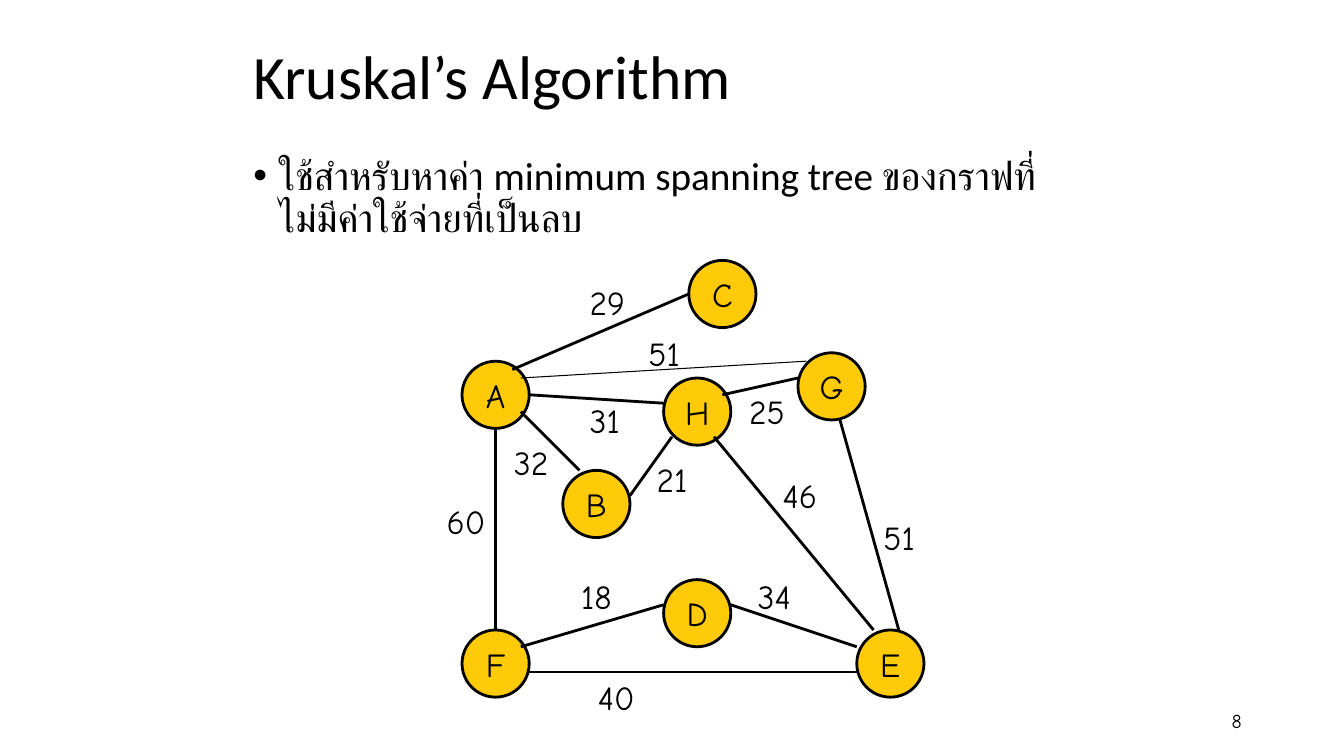
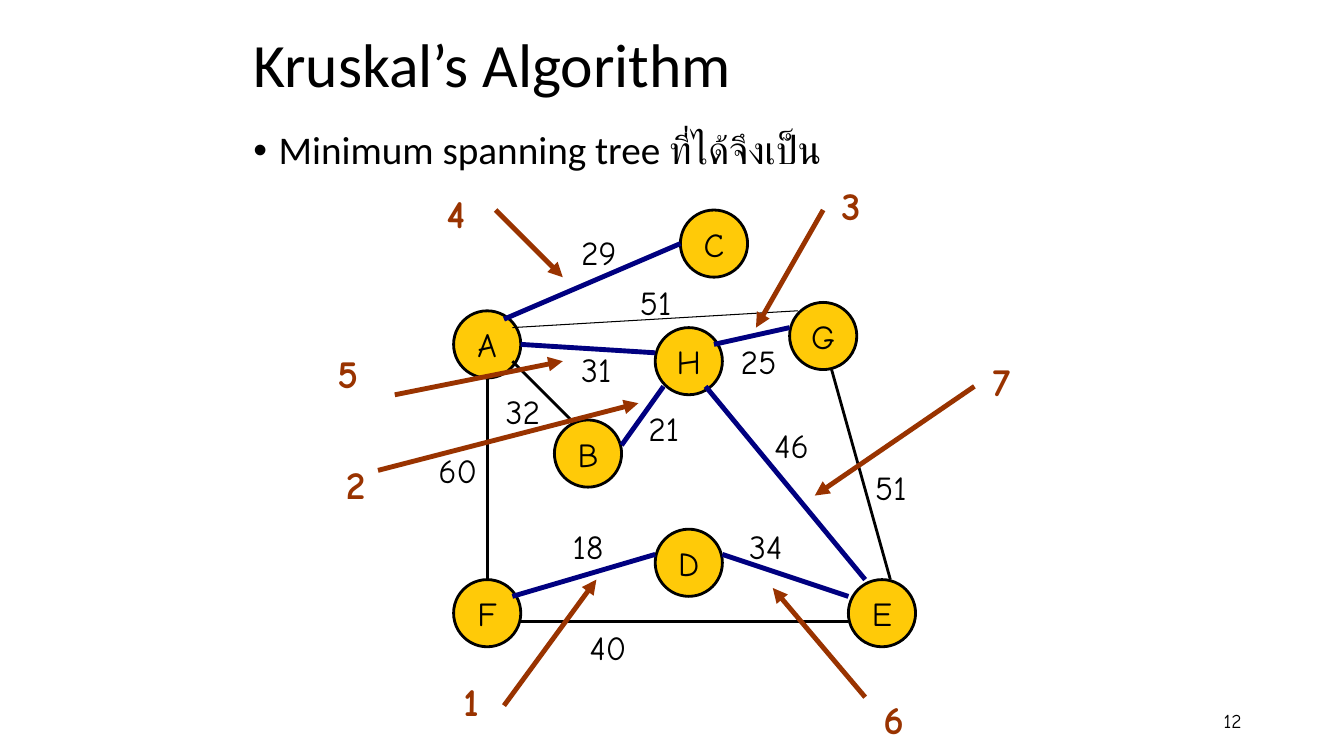
"""Builds two slides on Kruskal's algorithm from one shared weighted graph."""
from lxml import etree
from pptx import Presentation
from pptx.dml.color import RGBColor
from pptx.enum import shapes, text
from pptx.oxml.ns import qn
from pptx.util import Pt

BLACK, GOLD, NAVY, RUST = "000000", "FFCA08", "000080", "993300"
SANS, COMIC = "Calibri", "Comic Neue"
TITLE = "Kruskal’s Algorithm"
LEFT, TOP = 174, 12
NODE = 48
LABEL = (48, 36)
STEP = (30, 41)

NODES = {
    "A": (18, 72), "B": (90, 150), "H": (162, 84), "D": (162, 228),
    "C": (180, 0), "G": (258, 66), "F": (18, 264), "E": (300, 264),
}
EDGES = [
    ("AF", "60", (42, 120), (42, 264), (0, 168)),
    ("AB", "32", (60, 108), (102, 150), (48, 126)),
    ("FE", "40", (66, 294), (300, 294), (108, 294)),
    ("FD", "18", (60, 276), (162, 246), (96, 222)),
    ("DE", "34", (210, 246), (300, 276), (222, 222)),
    ("HE", "46", (198, 126), (312, 264), (240, 150)),
    ("HB", "21", (168, 126), (138, 168), (150, 138)),
    ("GE", "51", (288, 114), (330, 264), (312, 180)),
    ("AH", "31", (66, 96), (162, 102), (102, 96)),
    ("AC", "29", (54, 78), (180, 24), (102, 12)),
    ("HG", "25", (204, 96), (258, 84), (216, 90)),
    ("AG", "51", (60, 84), (264, 72), (144, 48)),
]
THIN_EDGES = {"AG"}
STEPS = [
    ("1", (360, 504), (426, 414), (324, 480)),
    ("2", (270, 336), (456, 288), (240, 325)),
    ("3", (588, 150), (540, 234), (594, 126)),
    ("4", (354, 150), (402, 198), (312, 132)),
    ("5", (282, 282), (402, 258), (234, 246)),
    ("6", (618, 498), (552, 420), (624, 493)),
    ("7", (696, 276), (582, 354), (702, 252)),
]
SLIDES = [
    {"bullet": "ใช้สำหรับหาค่า minimum spanning tree ของกราฟที่ไม่มีค่าใช้จ่ายที่เป็นลบ",
     "number": "8", "title_height": 90, "body": (108, 324),
     "origin": (312, 186), "tree": set(), "steps": []},
    {"bullet": "Minimum spanning tree ที่ได้จึงเป็น",
     "number": "12", "title_height": 72, "body": (90, 288),
     "origin": (306, 150), "tree": {"FD", "DE", "HE", "HB", "AH", "AC", "HG"},
     "steps": STEPS},
]


def color(value):
    return RGBColor.from_string(value)


def write(box, words, size, font=COMIC, ink=BLACK, bold=False, align=None, middle=False):
    frame = box.text_frame
    if middle:
        frame.vertical_anchor = text.MSO_ANCHOR.MIDDLE
    para = frame.paragraphs[0]
    para.alignment = align
    span = para.add_run()
    span.text = words
    span.font.size = Pt(size)
    span.font.name = font
    span.font.bold = bold
    span.font.color.rgb = color(ink)
    return para


def add_text(page, place, words, size, **style):
    box = page.shapes.add_textbox(*map(Pt, place))
    box.text_frame.word_wrap = True
    return write(box, words, size, **style)


def add_line(page, start, end, ink, width, arrow=False):
    line = page.shapes.add_connector(shapes.MSO_CONNECTOR.STRAIGHT, *map(Pt, start + end))
    line.line.color.rgb = color(ink)
    line.line.width = Pt(width)
    if arrow:
        etree.SubElement(line.line._get_or_add_ln(), qn("a:tailEnd"), type="triangle")
    etree.SubElement(line._element.spPr, qn("a:effectLst"))


def add_node(page, name, place):
    node = page.shapes.add_shape(shapes.MSO_SHAPE.OVAL, *map(Pt, place + (NODE, NODE)))
    node.shadow.inherit = False
    node.fill.solid()
    node.fill.fore_color.rgb = color(GOLD)
    node.line.color.rgb = color(BLACK)
    node.line.width = Pt(2)
    node.text_frame.word_wrap = False
    write(node, name, 24, align=text.PP_ALIGN.CENTER, middle=True)


def add_frame(page, content):
    para = add_text(page, (LEFT, TOP, 541, content["title_height"]), TITLE, 44,
                    font=SANS, middle=True)
    para.line_spacing = 0.9
    top, height = content["body"]
    para = add_text(page, (LEFT, top, 606, height), content["bullet"], 28, font=SANS)
    para.line_spacing = 0.9
    para.space_before = Pt(10)
    props = para._p.get_or_add_pPr()
    props.set("marL", str(Pt(18)))
    props.set("indent", str(-Pt(18)))
    etree.SubElement(props, qn("a:buFont"), typeface="Arial")
    etree.SubElement(props, qn("a:buChar"), char="•")
    add_text(page, (678, 500, 216, 29), content["number"], 14,
             align=text.PP_ALIGN.RIGHT, middle=True)


def add_graph(page, origin, tree):
    def shift(point):
        return origin[0] + point[0], origin[1] + point[1]

    for name, place in NODES.items():
        add_node(page, name, shift(place))
    for name, weight, start, end, label in EDGES:
        ink, width = (NAVY, 3.5) if name in tree else (BLACK, 0.75 if name in THIN_EDGES else 2)
        add_line(page, shift(start), shift(end), ink, width)
        add_text(page, shift(label) + LABEL, weight, 24)


def main():
    deck = Presentation()
    deck.slide_width, deck.slide_height = Pt(960), Pt(540)
    for content in SLIDES:
        page = deck.slides.add_slide(deck.slide_layouts[6])
        add_frame(page, content)
        add_graph(page, content["origin"], content["tree"])
        for number, start, end, label in content["steps"]:
            add_line(page, start, end, RUST, 3.5, arrow=True)
            add_text(page, label + STEP, number, 28, ink=RUST, bold=True)
    deck.save("out.pptx")


if __name__ == "__main__":
    main()
